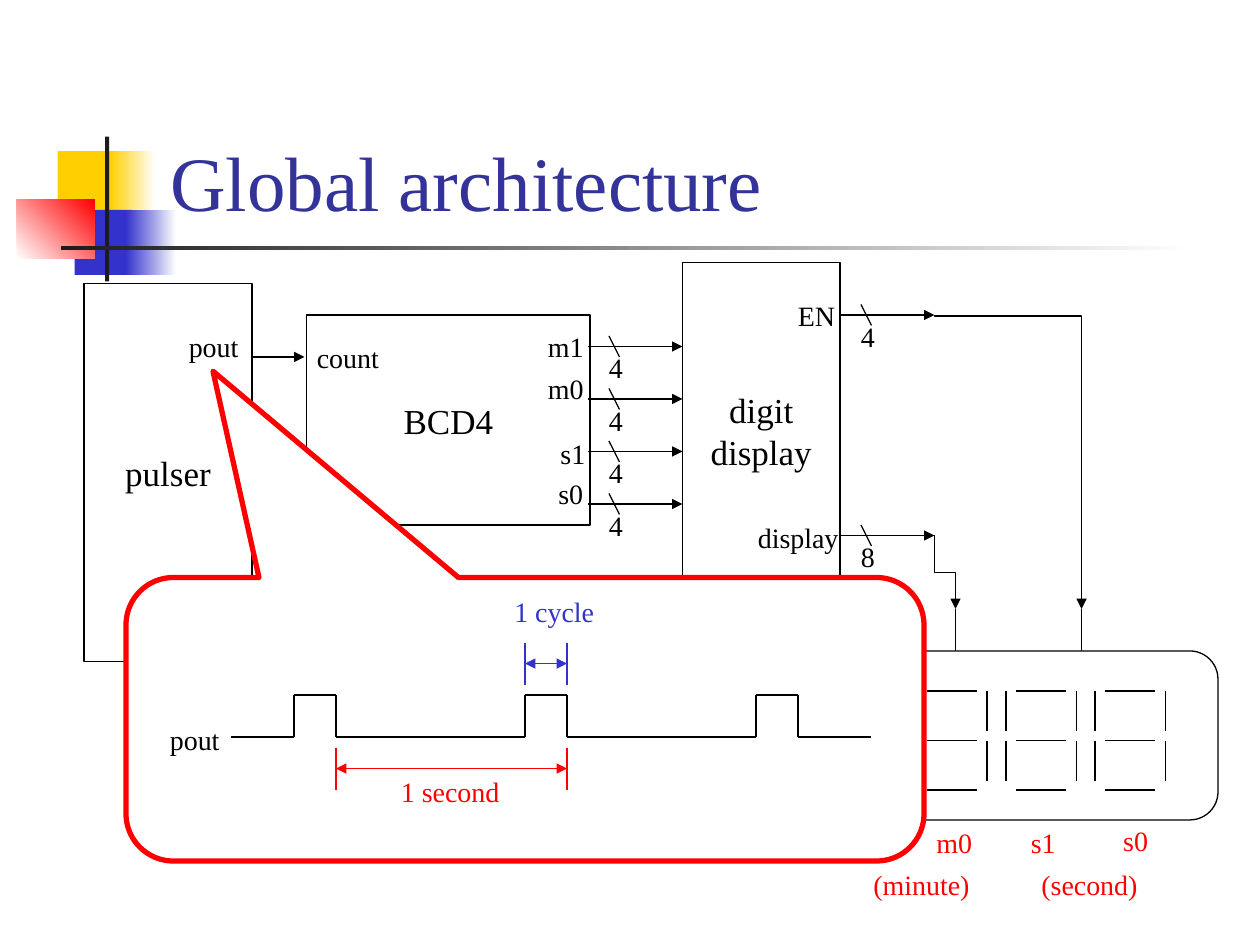
from itertools import pairwise

from lxml.etree import SubElement
from pptx import Presentation
from pptx.dml.color import RGBColor
from pptx.enum.shapes import MSO_CONNECTOR, MSO_SHAPE
from pptx.enum.text import MSO_ANCHOR, MSO_AUTO_SIZE, PP_ALIGN
from pptx.oxml.ns import qn
from pptx.util import Cm, Pt

FONT = "Times New Roman"
BLACK, WHITE, RED, BLUE = "000000", "FFFFFF", "FF0000", "3333CC"
YELLOW, DARK, TITLE = "FFCF01", "1C1C1C", "333399"


def grid(*values):
    """Turn grid steps, twelve to 2.54 cm, into lengths."""
    return [Cm(v * 2.54 / 12) for v in values]


def rgb(color):
    """Return the colour of a hex string."""
    return RGBColor.from_string(color)


def write(tf, text, size, color, align):
    """Put text into a frame and format its runs."""
    tf.text = text
    for p in tf.paragraphs:
        p.alignment = align
        for r in p.runs:
            r.font.name = FONT
            r.font.size = Pt(size)
            r.font.color.rgb = rgb(color)


def add_title(s, text):
    """Move and format the title placeholder."""
    sp = s.shapes.title
    sp.left, sp.top, sp.width, sp.height = grid(15, 3, 117.2, 19.2)
    tf = sp.text_frame
    tf.vertical_anchor = MSO_ANCHOR.BOTTOM
    tf.auto_size = MSO_AUTO_SIZE.NONE
    write(tf, text, 44, TITLE, PP_ALIGN.LEFT)


def add_label(s, text, x, y, w, color=BLACK):
    """Add a one-line label."""
    tf = s.shapes.add_textbox(*grid(x, y, w, 4.4)).text_frame
    tf.word_wrap = False
    tf.auto_size = MSO_AUTO_SIZE.SHAPE_TO_FIT_TEXT
    write(tf, text, 16, color, PP_ALIGN.LEFT)


def add_shape(s, kind, area, fill=None, line=None, width=0.75):
    """Add a preset shape with a plain fill and outline."""
    sp = s.shapes.add_shape(kind, *grid(*area))
    sp.shadow.inherit = False
    if fill:
        sp.fill.solid()
        sp.fill.fore_color.rgb = rgb(fill)
    else:
        sp.fill.background()
    if line:
        sp.line.color.rgb = rgb(line)
        sp.line.width = Pt(width)
    else:
        sp.line.fill.background()
    return sp


def add_fade(s, area, start, end, angle=0):
    """Add a rectangle that fades between two colours."""
    sp = add_shape(s, MSO_SHAPE.RECTANGLE, area)
    sp.fill.gradient()
    sp.fill.gradient_angle = angle
    for stop, color, place in zip(sp.fill.gradient_stops, (start, end), (0, 1)):
        stop.color.rgb = rgb(color)
        stop.position = place


def add_block(s, text, area):
    """Add a named block of the circuit."""
    tf = add_shape(s, MSO_SHAPE.RECTANGLE, area, line=BLACK).text_frame
    tf.word_wrap = False
    tf.vertical_anchor = MSO_ANCHOR.MIDDLE
    write(tf, text, 20, BLACK, PP_ALIGN.CENTER)


def add_line(s, x1, y1, x2, y2, color=BLACK, ends=(), kind=MSO_CONNECTOR.STRAIGHT):
    """Add a connector with arrowheads at the named ends."""
    c = s.shapes.add_connector(kind, *grid(x1, y1, x2, y2))
    c.line.color.rgb = rgb(color)
    c.line.width = Pt(0.75)
    spPr = c._element.spPr
    for end in ends:
        SubElement(spPr.find(qn("a:ln")), qn(f"a:{end}"), type="triangle")
    SubElement(spPr, qn("a:effectLst"))
    return c


def add_elbow(s, x1, y1, x2, y2, bend):
    """Add an arrow that goes down, across and down."""
    cx, cy, dx, dy = (x1 + x2) / 2, (y1 + y2) / 2, (x2 - x1) / 2, (y2 - y1) / 2
    c = add_line(s, cx + dy, cy - dx, cx - dy, cy + dx,
                 ends=["tailEnd"], kind=MSO_CONNECTOR.ELBOW)
    spPr = c._element.spPr
    spPr.find(qn("a:xfrm")).set("rot", "16200000")
    geom = spPr.find(qn("a:prstGeom"))
    av = geom.find(qn("a:avLst"))
    if av is None:
        av = SubElement(geom, qn("a:avLst"))
    SubElement(av, qn("a:gd"), name="adj1", fmla=f"val {int(bend * 100000)}")


def add_bus(s, x, y, bits):
    """Add an arrow with a slash and its number of bits."""
    add_line(s, x, y, x + 9, y, ends=["tailEnd"])
    add_line(s, x + 2, y - 1, x + 3, y + 1)
    add_label(s, bits, x + 0.8, y - 0.2, 3.7)


def add_digit(s, x):
    """Add a seven-segment digit."""
    for y in (65.8, 70.55, 75.25):
        add_line(s, x + 0.95, y, x + 5.7, y)
    for y in (65.8, 70.55):
        for dx in (0, 6.7):
            add_line(s, x + dx, y, x + dx, y + 3.8)


def add_dimension(s, x1, x2, y, color):
    """Add a double arrow between two marks."""
    for x in (x1, x2):
        add_line(s, x, y - 2, x, y + 2, color)
    add_line(s, x1, y, x2, y, color, ["headEnd", "tailEnd"])


def add_wave(s, low, high):
    """Add the pulse train."""
    points = [(22, low)]
    for x in (28, 50, 72):
        points += [(x, low), (x, high), (x + 4, high), (x + 4, low)]
    points.append((83, low))
    for a, b in pairwise(points):
        add_line(s, *a, *b)


def add_decoration(s):
    """Add the coloured squares and bars beside the title."""
    add_shape(s, MSO_SHAPE.RECTANGLE, (5.5, 14.4, 5.8, 6.2), YELLOW)
    add_fade(s, (10.5, 14.4, 4.3, 6.2), YELLOW, WHITE)
    add_shape(s, MSO_SHAPE.RECTANGLE, (7.1, 20, 5.5, 6.2), BLUE)
    add_fade(s, (12, 20, 4.8, 6.2), BLUE, WHITE)
    add_fade(s, (1.6, 19, 7.4, 5.6), WHITE, RED, 45)
    add_shape(s, MSO_SHAPE.RECTANGLE, (10, 13, 0.4, 13.8), DARK)
    add_fade(s, (5.8, 23.4, 108, 0.4), DARK, WHITE)


def add_circuit(s):
    """Add the blocks, their ports and the wires."""
    add_block(s, "pulser", (8, 27, 16, 36))
    add_block(s, "BCD4", (29.2, 30, 27, 20))
    add_block(s, "digit\ndisplay", (65, 25, 15, 32))
    for port in (("pout", 16.8, 30.8, 7.2), ("count", 29, 31.8, 8.4),
                 ("m1", 51, 30.8, 5.9), ("m0", 51, 34.8, 5.9),
                 ("s1", 52.2, 41, 4.8), ("s0", 52, 44.8, 4.8),
                 ("EN", 74.8, 27.8, 6), ("display", 71, 49, 10.2)):
        add_label(s, *port)
    add_line(s, 24, 34, 29, 34, ends=["tailEnd"])
    for y in range(33, 49, 5):
        add_bus(s, 56, y, "4")
    add_bus(s, 80, 30, "4")
    add_bus(s, 80, 51, "8")


def add_clock(s):
    """Add the clock display with its inputs and labels."""
    for i in range(3):
        add_digit(s, 87.3 + 8.5 * i)
    sp = add_shape(s, MSO_SHAPE.ROUNDED_RECTANGLE, (76, 62, 40, 16.1), line=BLACK)
    sp.adjustments[0] = 0.167
    for x, y, bend in ((91, 51, 0.5), (103, 30, 0.004)):
        add_line(s, x, 62, x, 58)
        add_elbow(s, 89, y, x, 58, bend)
    for label in (("m0", 88, 78, 5.9), ("s1", 97, 78, 4.8), ("s0", 105.8, 77.8, 4.8),
                  ("(minute)", 82, 82, 11.6), ("(second)", 98, 82, 11.6)):
        add_label(s, *label, RED)


def add_timing(s):
    """Add the callout with the timing of pout."""
    sp = add_shape(s, MSO_SHAPE.ROUNDED_RECTANGULAR_CALLOUT, (12, 55, 76, 27), WHITE, RED, 3)
    for i, value in enumerate((-0.391, -1.228, 0.167)):
        sp.adjustments[i] = value
    add_wave(s, 70.2, 66.2)
    add_label(s, "pout", 15, 68.2, 7.2)
    add_dimension(s, 50, 54, 63.2, BLUE)
    add_label(s, "1 cycle", 47.8, 56, 10.1, BLUE)
    add_dimension(s, 32, 54, 73.2, RED)
    add_label(s, "1 second", 37, 73.2, 11.9, RED)


def main():
    """Build the slide and save it."""
    prs = Presentation()
    prs.slide_width, prs.slide_height = Cm(25.4), Cm(19.05)
    s = prs.slides.add_slide(prs.slide_layouts[5])
    add_decoration(s)
    add_title(s, "Global architecture")
    add_circuit(s)
    add_clock(s)
    add_timing(s)
    prs.save("out.pptx")


if __name__ == "__main__":
    main()
